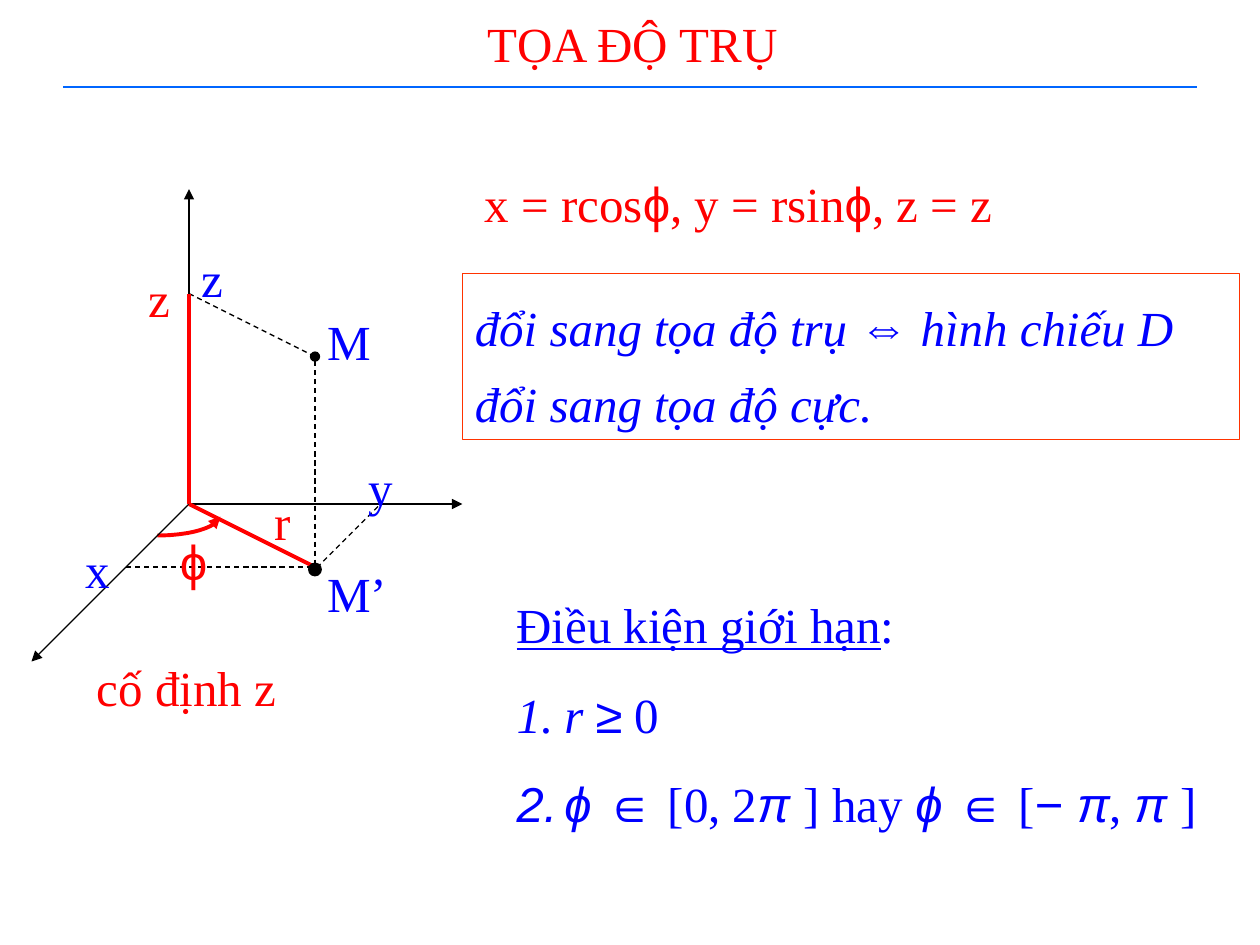
"""Build the slide on cylindrical coordinates."""
from lxml.etree import SubElement
from pptx import Presentation
from pptx.dml.color import RGBColor as Rgb
from pptx.enum.dml import MSO_LINE
from pptx.enum.shapes import MSO_CONNECTOR, MSO_SHAPE
from pptx.enum.text import MSO_ANCHOR, MSO_AUTO_SIZE, PP_ALIGN
from pptx.oxml.ns import qn
from pptx.util import Inches, Pt

COLORS = {"red": "FF0000", "blue": "0000FF", "black": "000000",
          "rule": "0066FF", "frame": "FF3300"}
SERIF, SANS = "Times New Roman", "Arial"
ITALIC, UNDERLINE = {"italic": True}, {"underline": True}
PHI, PI = ("ϕ ", SANS, ITALIC), ("π ", SANS, ITALIC)
ELEMENT = ("∈ ", SANS, {})
ORIGIN = (1.5, 4)

AXES = [(1.5, 1.5), (3.67, 4), (0.25, 5.25)]
DASHES = [((1.5, 2.33), (2.5, 2.83)), ((1, 4.5), (2.5, 4.5)), ((3, 4.02), (2.5, 4.52))]
THICK_LINES = [(2.5, 4.5), (1.5, 2.33)]
LABELS = [
    ("z", SERIF, "red", 1.08, 2.08, 0.33),
    ("r", SERIF, "red", 2.08, 3.85, 0.33),
    ("ϕ", SANS, "red", 1.33, 4.17, 0.33),
    ("x", SERIF, "blue", 0.58, 4.23, 0.33),
    ("y", SERIF, "blue", 2.83, 3.58, 0.33),
    ("M", SERIF, "blue", 2.5, 2.42, 0.5),
    ("z", SERIF, "blue", 1.5, 1.92, 0.33),
    ("cố định z", SERIF, "red", 0.67, 5.17, 2.33),
    ("M’", SERIF, "blue", 2.5, 4.42, 0.75),
]
FORMULA = [("x = rcos", SERIF, {}), ("ϕ", SANS, {}), (", y = rsin", SERIF, {}),
           ("ϕ", SANS, {}), (", z = z", SERIF, {})]
REMARK = [("đổi sang tọa độ trụ ", SERIF, ITALIC), ("⇔", SANS, ITALIC),
          (" hình chiếu D đổi sang tọa độ cực.", SERIF, ITALIC)]
CONDITIONS = [
    [("Điều kiện giới hạn", SERIF, UNDERLINE), (":", SERIF, {})],
    [("r ", SERIF, ITALIC), ("≥", SANS, {}), (" 0", SERIF, {})],
    [PHI, ELEMENT, ("[0, 2", SERIF, {}), PI, ("] hay ", SERIF, {}), PHI, ELEMENT,
     ("[", SERIF, {}), ("− ", SANS, {}), ("π", SANS, ITALIC), (", ", SERIF, {}),
     PI, ("]", SERIF, {})],
]


def color(name):
    """Return the named colour."""
    return Rgb.from_string(COLORS[name])


def apply(target, formats):
    """Set each attribute of the target from the format values."""
    for name, value in formats.items():
        setattr(target, name, value)


def add_spans(para, spans, tone):
    """Fill a paragraph with formatted spans."""
    for text, face, extra in spans:
        span = para.add_run()
        span.text = text
        apply(span.font, {"name": face, "size": Pt(28), "bold": False,
                          "italic": False, **extra})
        span.font.color.rgb = color(tone)


def place(shape, left, top, width, height):
    """Move and size a shape in inches."""
    apply(shape, {"left": Inches(left), "top": Inches(top),
                  "width": Inches(width), "height": Inches(height)})


def format_frame(shape, anchor=MSO_ANCHOR.TOP):
    """Prepare the text frame of a shape and return it."""
    frame = shape.text_frame
    apply(frame, {"word_wrap": True, "auto_size": MSO_AUTO_SIZE.NONE,
                  "vertical_anchor": anchor})
    return frame


def add_text(page, spans, tone, left, top, width):
    """Add a one-line text box."""
    box = page.shapes.add_textbox(*map(Inches, (left, top, width, 0.57)))
    add_spans(format_frame(box).paragraphs[0], spans, tone)


def format_line(shape, tone, weight, ends):
    """Colour a line and give it its end marks."""
    shape.line.color.rgb = color(tone)
    shape.line.width = Pt(weight)
    outline = shape._element.spPr.find(qn("a:ln"))
    for end, kind in ends.items():
        SubElement(outline, qn(f"a:{end}"), type=kind)


def add_line(page, start, finish, tone="black", weight=0.75, dashed=False, **ends):
    """Add a straight line between two points."""
    line = page.shapes.add_connector(MSO_CONNECTOR.STRAIGHT,
                                     *map(Inches, (*start, *finish)))
    if dashed:
        line.line.dash_style = MSO_LINE.DASH
    format_line(line, tone, weight, ends)
    SubElement(line._element.spPr, qn("a:effectLst"))


def add_angle(page, knots, steps=24):
    """Add the curved angle arrow from four Bezier knots."""
    points = []
    for step in range(steps + 1):
        t = step / steps
        weights = ((1 - t) ** 3, 3 * t * (1 - t) ** 2, 3 * t * t * (1 - t), t ** 3)
        points.append(tuple(Inches(sum(w * knot[axis] for w, knot in zip(weights, knots)))
                            for axis in (0, 1)))
    builder = page.shapes.build_freeform(*points[0])
    builder.add_line_segments(points[1:], close=False)
    arc = builder.convert_to_shape()
    arc.fill.background()
    format_line(arc, "red", 2.25, {"tailEnd": "triangle"})
    arc.shadow.inherit = False


def add_remark(page):
    """Add the framed remark."""
    box = page.shapes.add_shape(MSO_SHAPE.RECTANGLE, *map(Inches, (3.67, 2.17, 6.17, 1.32)))
    box.shadow.inherit = False
    box.fill.background()
    format_line(box, "frame", 0.75, {})
    para = format_frame(box).paragraphs[0]
    apply(para, {"alignment": PP_ALIGN.LEFT, "line_spacing": 1.3})
    add_spans(para, REMARK, "blue")


def add_foot_point(page):
    """Add the dot at the projected point."""
    dot = page.shapes.add_shape(MSO_SHAPE.OVAL, *map(Inches, (2.45, 4.47, 0.1, 0.1)))
    dot.shadow.inherit = False
    dot.fill.solid()
    dot.fill.fore_color.rgb = color("black")
    format_line(dot, "black", 0.75, {})


def fill_title(title):
    """Write the slide title."""
    place(title, 0.52, 0, 9, 0.68)
    para = format_frame(title, MSO_ANCHOR.MIDDLE).paragraphs[0]
    para.alignment = PP_ALIGN.CENTER
    add_spans(para, [("TỌA ĐỘ TRỤ", SERIF, {})], "red")


def fill_conditions(body):
    """Write the heading and the numbered conditions."""
    place(body, 4, 4.67, 5.92, 1.99)
    frame = format_frame(body)
    for number, spans in enumerate(CONDITIONS):
        para = frame.add_paragraph() if number else frame.paragraphs[0]
        layout = para._p.get_or_add_pPr()
        layout.set("marL", str(Inches(0.38)))
        layout.set("indent", str(-Inches(0.38)))
        if number:
            tint = SubElement(layout, qn("a:buClr"))
            SubElement(tint, qn("a:srgbClr"), val=COLORS["blue"])
            SubElement(layout, qn("a:buFontTx"))
            SubElement(layout, qn("a:buAutoNum"), type="arabicPeriod")
        else:
            SubElement(layout, qn("a:buNone"))
        para.space_before = Pt(17.5 if number else 0)
        add_spans(para, spans, "blue")


def main():
    """Build and save the deck."""
    deck = Presentation()
    apply(deck, {"slide_width": Inches(10), "slide_height": Inches(7.5)})
    page = deck.slides.add_slide(deck.slide_layouts[1])
    fill_title(page.shapes.title)
    fill_conditions(page.placeholders[1])
    add_line(page, (0.5, 0.69), (9.5, 0.69), "rule", 1.5)
    add_angle(page, [(1.25, 4.25), (1.5, 4.25), (1.72, 4.19), (1.75, 4.1)])
    for tip in AXES:
        add_line(page, ORIGIN, tip, tailEnd="triangle")
    add_line(page, (2.5, 2.83), (2.5, 4.58), dashed=True, headEnd="oval")
    for start, finish in DASHES:
        add_line(page, start, finish, dashed=True)
    for tip in THICK_LINES:
        add_line(page, ORIGIN, tip, "red", 2.25)
    for text, face, tone, *spot in LABELS:
        add_text(page, [(text, face, {})], tone, *spot)
    add_text(page, FORMULA, "red", 3.75, 1.33, 5.83)
    add_remark(page)
    add_foot_point(page)
    deck.save("out.pptx")


if __name__ == "__main__":
    main()
